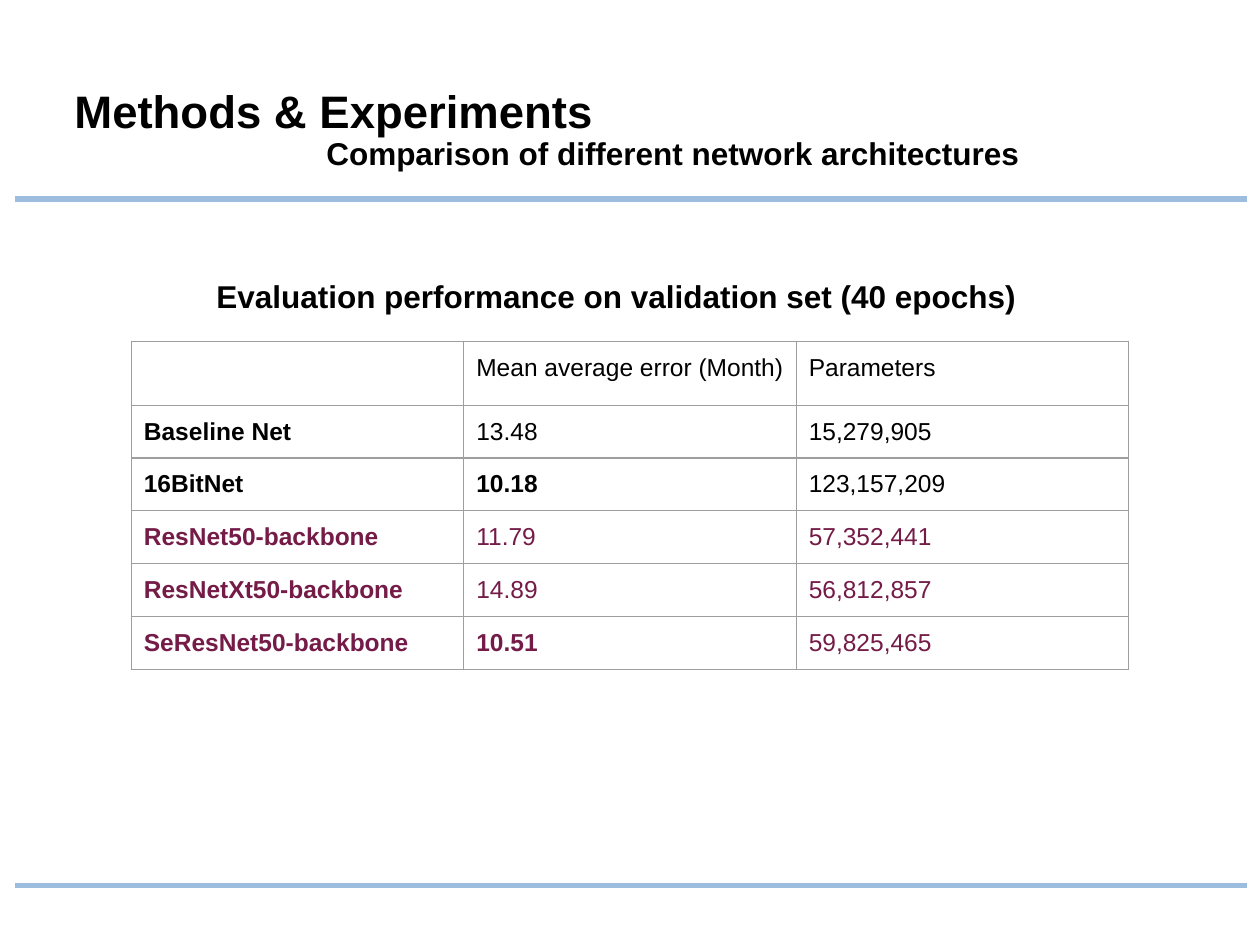
from lxml.etree import SubElement
from pptx import Presentation
from pptx.dml.color import RGBColor
from pptx.enum.shapes import MSO_CONNECTOR
from pptx.enum.text import MSO_ANCHOR, MSO_AUTO_SIZE, PP_ALIGN
from pptx.oxml.ns import qn
from pptx.util import Pt

# Content
TITLE = "Methods & Experiments"
TOPIC = "Comparison of different network architectures"
HEADING = "Evaluation performance on validation set (40 epochs)"
ROWS = [
    ("", "Mean average error (Month)", "Parameters"),
    ("Baseline Net", "13.48", "15,279,905"),
    ("16BitNet", "10.18", "123,157,209"),
    ("ResNet50-backbone", "11.79", "57,352,441"),
    ("ResNetXt50-backbone", "14.89", "56,812,857"),
    ("SeResNet50-backbone", "10.51", "59,825,465"),
]
BEST = {"10.18", "10.51"}
BLACK, PLUM, BLUE, GREY = "000000", "741B47", "9CBDDE", "9E9E9E"
RULES = (113.8, 506.2)
COL, ROW, PAD = 190, 30.2, 7.2


def color(code):
    return RGBColor.from_string(code)


def write(para, text, size, bold=True, code=BLACK):
    run = para.add_run()
    run.text = text
    form = {"name": "Arial", "size": Pt(size), "bold": bold}
    for key, value in form.items():
        setattr(run.font, key, value)
    run.font.color.rgb = color(code)


def inset(item, pad):
    for side in ("left", "top", "right", "bottom"):
        setattr(item, f"margin_{side}", Pt(pad))


def border(cell):
    props = cell._tc.get_or_add_tcPr()
    for side in ("lnL", "lnR", "lnT", "lnB"):
        line = SubElement(props, qn(f"a:{side}"), w=str(Pt(0.75)))
        fill = SubElement(line, qn("a:solidFill"))
        SubElement(fill, qn("a:srgbClr"), val=GREY)


deck = Presentation()
deck.slide_width, deck.slide_height = Pt(720), Pt(540)
slide = deck.slides.add_slide(deck.slide_layouts[5])
shapes = slide.shapes

# Rules above and below the body
for y in RULES:
    rule = shapes.add_connector(
        MSO_CONNECTOR.STRAIGHT, Pt(8.6), Pt(y), Pt(712.8), Pt(y))
    rule.line.color.rgb = color(BLUE)
    rule.line.width = Pt(3)
    SubElement(rule._element.spPr, qn("a:effectLst"))

# Title with its indented topic
title = shapes.title
place = {"left": 42.5, "top": 51.1, "width": 581.8, "height": 64.1}
for key, value in place.items():
    setattr(title, key, Pt(value))
frame = title.text_frame
frame.word_wrap = True
frame.auto_size = MSO_AUTO_SIZE.NONE
frame.vertical_anchor = MSO_ANCHOR.TOP
inset(frame, 0)
head, topic = frame.paragraphs[0], frame.add_paragraph()
for para, text, size in ((head, TITLE, 26), (topic, TOPIC, 18)):
    para.alignment = PP_ALIGN.LEFT
    para.line_spacing = 0.9
    para.space_before = Pt(0)
    write(para, text, size)
topic._p.get_or_add_pPr().set("marL", str(Pt(144)))

# Results table
table = shapes.add_table(
    len(ROWS), len(ROWS[0]), Pt(75), Pt(195.1),
    Pt(COL * len(ROWS[0])), Pt(ROW * len(ROWS))).table
table.first_row = table.horz_banding = False
for col in table.columns:
    col.width = Pt(COL)
for r, row in enumerate(ROWS):
    table.rows[r].height = Pt(ROW)
    code = PLUM if row[0].endswith("backbone") else BLACK
    for c, text in enumerate(row):
        cell = table.cell(r, c)
        inset(cell, PAD)
        border(cell)
        cell.fill.background()
        if text:
            bold = c == 0 or text in BEST
            write(cell.text_frame.paragraphs[0], text, 14, bold, code)

# Table heading
box = shapes.add_textbox(Pt(116.6), Pt(151.2), Pt(515.5), Pt(30.2))
box.text_frame.word_wrap = True
inset(box.text_frame, PAD)
write(box.text_frame.paragraphs[0], HEADING, 18)

deck.save("out.pptx")
